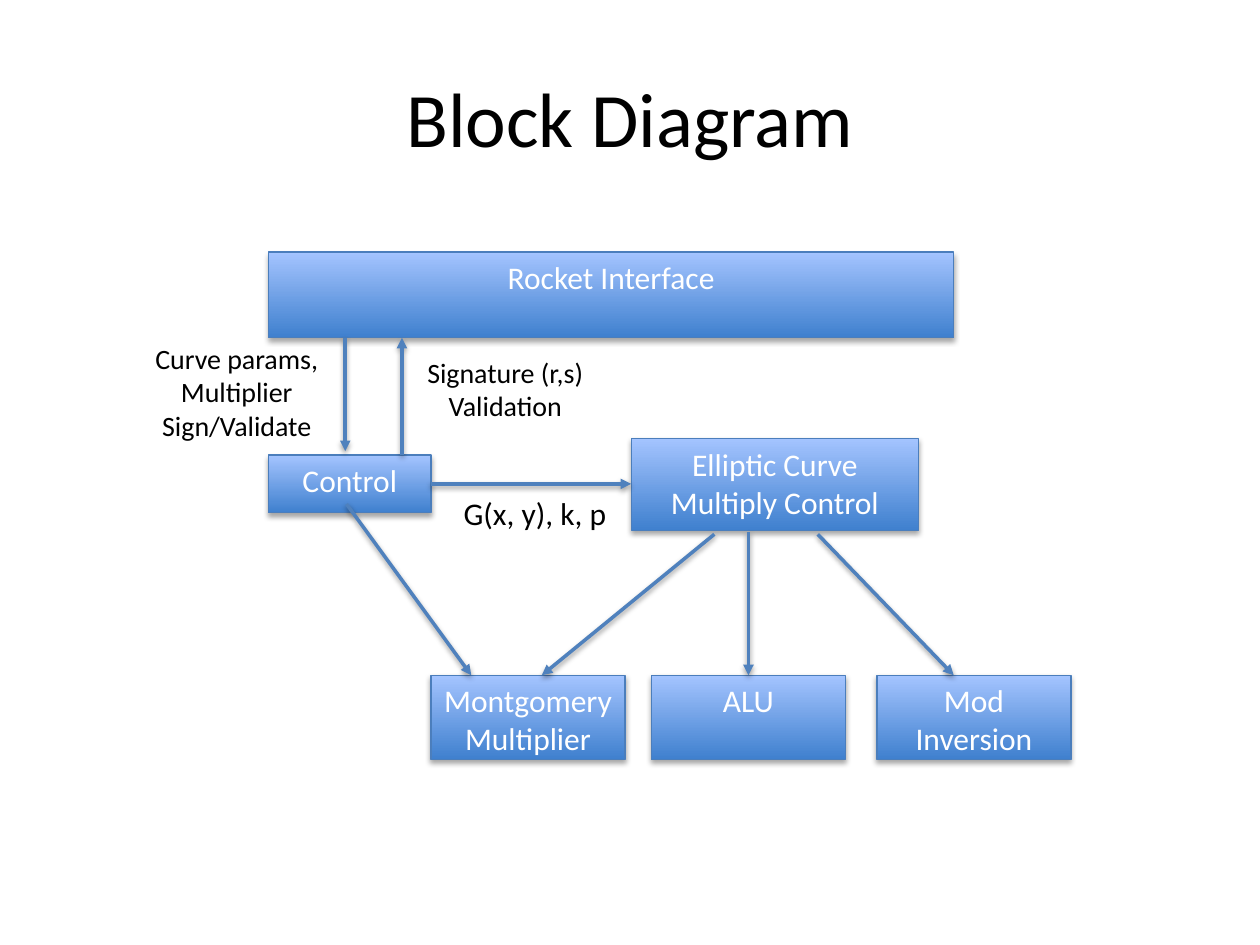
from lxml import etree
from pptx import Presentation
from pptx.dml.color import RGBColor
from pptx.enum.shapes import MSO_CONNECTOR, MSO_SHAPE
from pptx.enum.text import MSO_ANCHOR, MSO_AUTO_SIZE, PP_ALIGN
from pptx.oxml.ns import qn
from pptx.util import Pt

RECTANGLE = MSO_SHAPE.RECTANGLE
STRAIGHT = MSO_CONNECTOR.STRAIGHT
TOP, MIDDLE = MSO_ANCHOR.TOP, MSO_ANCHOR.MIDDLE
LEFT, CENTER = PP_ALIGN.LEFT, PP_ALIGN.CENTER
FIT_SHAPE = MSO_AUTO_SIZE.SHAPE_TO_FIT_TEXT

COLORS = {
    "text": "000000",
    "block_text": "FFFFFF",
    "block_bottom": "3F80CE",
    "block_top": "A4C4FF",
    "block_edge": "4B7EBC",
    "arrow": "4F81BD",
    "shadow": "000000",
}


class Diagram:
    """Holds the style and the current slide; lengths are in points."""

    font = "Calibri"

    def __init__(self, slide):
        self.slide = slide

    def color(self, name):
        return RGBColor.from_string(COLORS[name])

    def add_lines(self, frame, lines, size, color="text", align=CENTER):
        for i, line in enumerate(lines):
            paragraph = frame.add_paragraph() if i else frame.paragraphs[0]
            paragraph.alignment = align
            run = paragraph.add_run()
            run.text = line
            run.font.name = self.font
            run.font.size = Pt(size)
            run.font.color.rgb = self.color(color)

    def shade(self, effects, distance, opacity):
        shadow = etree.SubElement(
            effects, qn("a:outerShdw"), blurRad=str(Pt(3.1)),
            dist=str(Pt(distance)), dir="5400000", rotWithShape="0")
        tone = etree.SubElement(shadow, qn("a:srgbClr"), val=COLORS["shadow"])
        etree.SubElement(tone, qn("a:alpha"), val=str(opacity * 1000))

    def title(self, text, left, top, width, height):
        title = self.slide.shapes.title
        title.left, title.top = Pt(left), Pt(top)
        title.width, title.height = Pt(width), Pt(height)
        title.text_frame.vertical_anchor = MIDDLE
        self.add_lines(title.text_frame, [text], 44)

    def block(self, text, left, top, width, height):
        block = self.slide.shapes.add_shape(
            RECTANGLE, Pt(left), Pt(top), Pt(width), Pt(height))
        block.fill.gradient()
        block.fill.gradient_angle = 90
        stops = zip(block.fill.gradient_stops, ("block_bottom", "block_top"))
        for position, (stop, name) in enumerate(stops):
            stop.position = position
            stop.color.rgb = self.color(name)
        block.line.color.rgb = self.color("block_edge")
        block.line.width = Pt(0.75)
        block.shadow.inherit = False
        self.shade(block._element.spPr.find(qn("a:effectLst")), 1.8, 35)
        block.text_frame.vertical_anchor = TOP
        self.add_lines(block.text_frame, [text], 18, "block_text")

    def arrow(self, x1, y1, x2, y2):
        arrow = self.slide.shapes.add_connector(
            STRAIGHT, Pt(x1), Pt(y1), Pt(x2), Pt(y2))
        arrow.line.color.rgb = self.color("arrow")
        arrow.line.width = Pt(2)
        properties = arrow._element.spPr
        etree.SubElement(properties.find(qn("a:ln")), qn("a:tailEnd"),
                         type="triangle")
        self.shade(etree.SubElement(properties, qn("a:effectLst")), 1.6, 38)

    def label(self, lines, left, top, width, height, size=16, align=CENTER):
        label = self.slide.shapes.add_textbox(
            Pt(left), Pt(top), Pt(width), Pt(height))
        label.text_frame.word_wrap = False
        label.text_frame.auto_size = FIT_SHAPE
        self.add_lines(label.text_frame, lines, size, align=align)


def main():
    deck = Presentation()
    deck.slide_width, deck.slide_height = Pt(720), Pt(540)
    title_only = deck.slide_layouts[5]
    diagram = Diagram(deck.slides.add_slide(title_only))

    diagram.title("Block Diagram", 36, 21.6, 648, 90)

    # Interface and controllers
    interface_bottom, control_top = 193, 260
    control_left, control_right = 153.4, 246.3
    multiply_left = 360.7
    diagram.block("Rocket Interface", control_left, 144, 391.7, 49)
    diagram.block("Control", control_left, control_top,
                  control_right - control_left, 33.1)
    diagram.block("Elliptic Curve Multiply Control",
                  multiply_left, 250.6, 164.2, 52.5)

    # Arithmetic units
    units_top = 385.9
    for unit, left in (("Montgomery Multiplier", 246.3),
                       ("ALU", 372.2), ("Mod Inversion", 501.1)):
        diagram.block(unit, left, units_top, 110.9, 48.2)

    # Data flow between interface and controllers
    diagram.arrow(197.3, interface_bottom, 197.3, 257.8)
    diagram.arrow(229.7, control_top, 229.7, interface_bottom)
    diagram.arrow(control_right, 276.5, multiply_left, 276.5)

    # Controllers driving the arithmetic units
    for x1, y1, x2 in ((198, 288, 269.3), (408.2, 305.3, 309.6),
                       (427.7, 303.8, 427.7), (467.3, 305.3, 545)):
        diagram.arrow(x1, y1, x2, units_top)

    # Signal names
    diagram.label(["Curve params,", "Multiplier", "Sign/Validate"],
                  80.6, 191.5, 109.4, 65.5)
    diagram.label(["Signature (r,s)", "Validation"], 235.4, 199.4, 106.6, 46.1)
    diagram.label(["G(x, y), k, p"], 257.8, 278.6, 97.2, 29.1, 18, LEFT)

    deck.save("out.pptx")


if __name__ == "__main__":
    main()
